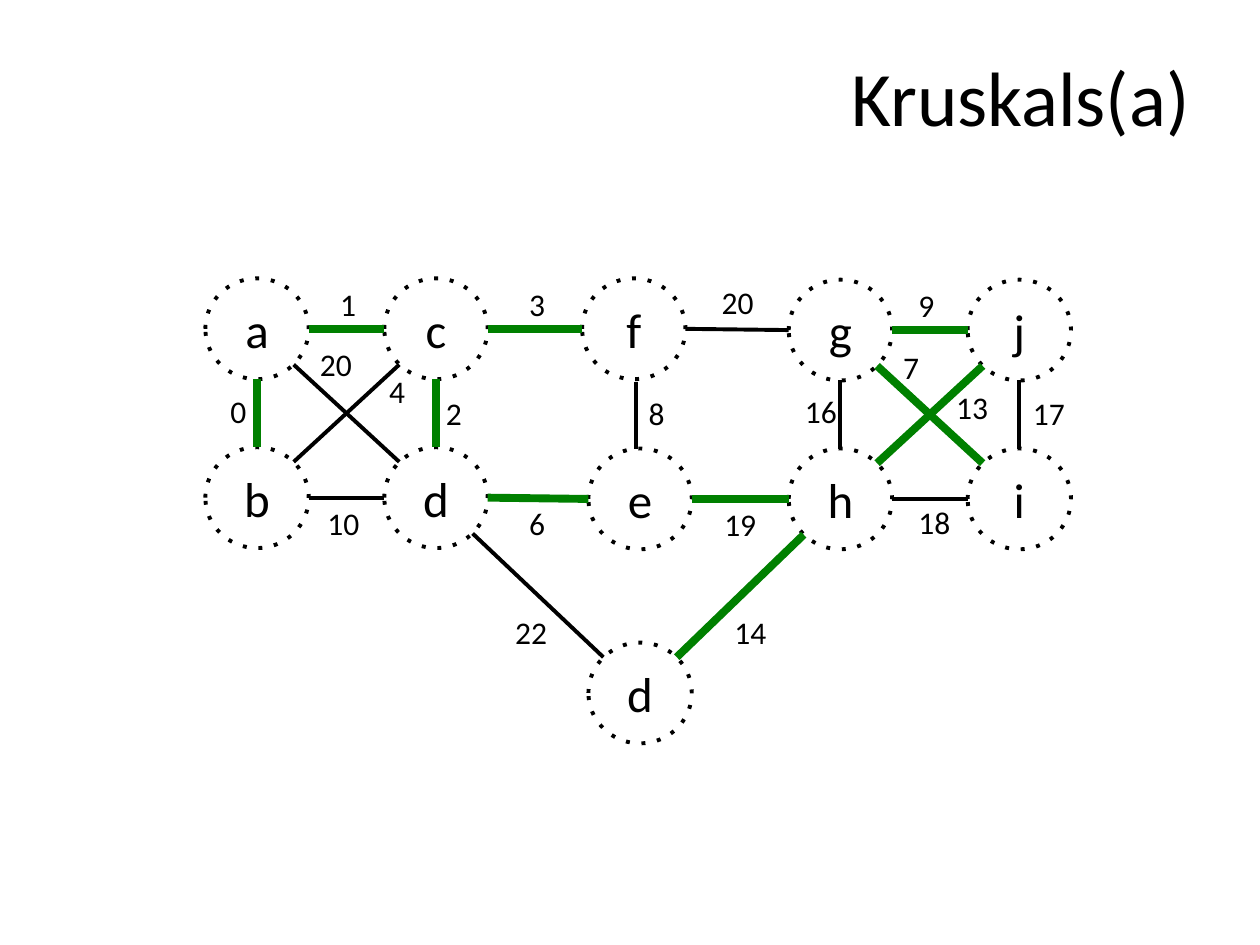
from pptx import Presentation
from pptx.dml.color import RGBColor
from pptx.enum.dml import MSO_LINE
from pptx.enum.shapes import MSO_CONNECTOR, MSO_SHAPE
from pptx.enum.text import MSO_ANCHOR, MSO_AUTO_SIZE, PP_ALIGN
from pptx.oxml.ns import qn
from pptx.util import Inches, Pt
from lxml import etree

STRAIGHT = MSO_CONNECTOR.STRAIGHT
ELLIPSE = MSO_SHAPE.OVAL
DOTTED = MSO_LINE.ROUND_DOT
MIDDLE = MSO_ANCHOR.MIDDLE
CENTER = PP_ALIGN.CENTER
GROW = MSO_AUTO_SIZE.SHAPE_TO_FIT_TEXT

FONT = "Calibri"
BLACK = "000000"
GREEN = "008000"
NODE_WIDTH, NODE_HEIGHT = 0.82, 0.8
DIAGONAL = 0.71

NODES = {
    "a": ("a", 0, 0), "c": ("c", 1.42, 0),
    "b": ("b", 0, 1.34), "d": ("d", 1.42, 1.34),
    "f": ("f", 2.99, 0), "e": ("e", 3.04, 1.35),
    "g": ("g", 4.63, 0.01), "j": ("j", 6.05, 0.01),
    "h": ("h", 4.63, 1.35), "i": ("i", 6.05, 1.35),
    "lower d": ("d", 3.04, 2.89),
}

TREE_EDGES = [
    ("a", "c", 1, 0), ("a", "b", 0, 1), ("c", "d", 0, 1),
    ("c", "f", 1, 0), ("d", "e", 1, 0), ("e", "h", 1, 0),
    ("g", "j", 1, 0), ("g", "i", 1, 1), ("j", "h", -1, 1),
    ("h", "lower d", -1, 1),
]
OTHER_EDGES = [
    ("a", "d", 1, 1), ("c", "b", -1, 1), ("b", "d", 1, 0),
    ("f", "g", 1, 0), ("g", "h", 0, 1), ("h", "i", 1, 0),
    ("j", "i", 0, 1), ("d", "lower d", 1, 1),
]

WEIGHTS = [
    ("0", 0.1, 0.85, 0.31), ("1", 0.97, 0, 0.31),
    ("20", 0.81, 0.48, 0.46), ("4", 1.36, 0.69, 0.31),
    ("10", 0.87, 1.74, 0.55), ("3", 2.47, 0, 0.42),
    ("6", 2.47, 1.74, 0.42), ("2", 1.81, 0.87, 0.42),
    ("8", 3.42, 0.87, 0.42), ("19", 4.02, 1.75, 0.6),
    ("20", 4, -0.01, 0.6), ("9", 5.56, 0.01, 0.6),
    ("7", 5.44, 0.5, 0.6), ("13", 5.86, 0.82, 0.6),
    ("18", 5.56, 1.73, 0.6), ("16", 4.66, 0.85, 0.6),
    ("17", 6.47, 0.87, 0.6), ("14", 4.1, 2.61, 0.53),
    ("22", 2.36, 2.61, 0.53),
]


def color(value):
    return RGBColor.from_string(value)


def write_text(frame, text, size):
    frame.text = text
    font = frame.paragraphs[0].runs[0].font
    font.name = FONT
    font.size = Pt(size)
    font.color.rgb = color(BLACK)


def add_text(page, text, size, left, top, width, height):
    box = page.shapes.add_textbox(Inches(left), Inches(top), Inches(width), Inches(height))
    frame = box.text_frame
    frame.word_wrap = True
    frame.auto_size = GROW
    frame.margin_right = 0
    write_text(frame, text, size)


def add_node(page, text, left, top):
    node = page.shapes.add_shape(
        ELLIPSE, Inches(left), Inches(top), Inches(NODE_WIDTH), Inches(NODE_HEIGHT)
    )
    node.shadow.inherit = False
    node.fill.background()
    node.line.color.rgb = color(BLACK)
    node.line.width = Pt(2.25)
    node.line.dash_style = DOTTED
    node._element.spPr.find(".//" + qn("a:prstDash")).set("val", "dot")
    node.text_frame.vertical_anchor = MIDDLE
    write_text(node.text_frame, text, 28)
    node.text_frame.paragraphs[0].alignment = CENTER


def add_line(page, start, end, line_color, width):
    points = [Inches(value) for value in (*start, *end)]
    line = page.shapes.add_connector(STRAIGHT, *points)
    line.line.color.rgb = color(line_color)
    line.line.width = Pt(width)
    etree.SubElement(line._element.spPr, qn("a:effectLst"))


def rim_point(left, top, name, across, down):
    _, node_left, node_top = NODES[name]
    reach = DIAGONAL if across and down else 1
    return (
        left + node_left + NODE_WIDTH / 2 * (1 + across * reach),
        top + node_top + NODE_HEIGHT / 2 * (1 + down * reach),
    )


def add_graph(page, left, top):
    for text, x, y in NODES.values():
        add_node(page, text, left + x, top + y)
    for edges, line_color, width in ((OTHER_EDGES, BLACK, 2.25), (TREE_EDGES, GREEN, 4.5)):
        for first, second, across, down in edges:
            start = rim_point(left, top, first, across, down)
            end = rim_point(left, top, second, -across, -down)
            add_line(page, start, end, line_color, width)
    middle = left + 3.42
    add_line(page, (middle, top + 0.82), (middle, top + 1.35), BLACK, 2.25)
    for text, x, y, width in WEIGHTS:
        add_text(page, text, 18, left + x, top + y, width, 0.4)


def main():
    deck = Presentation()
    deck.slide_width = Inches(10)
    deck.slide_height = Inches(7.5)
    page = deck.slides.add_slide(deck.slide_layouts[6])
    add_graph(page, 1.63, 2.21)
    add_text(page, "Kruskals(a)", 44, 6.66, 0.34, 2.92, 0.84)
    deck.save("out.pptx")


if __name__ == "__main__":
    main()
